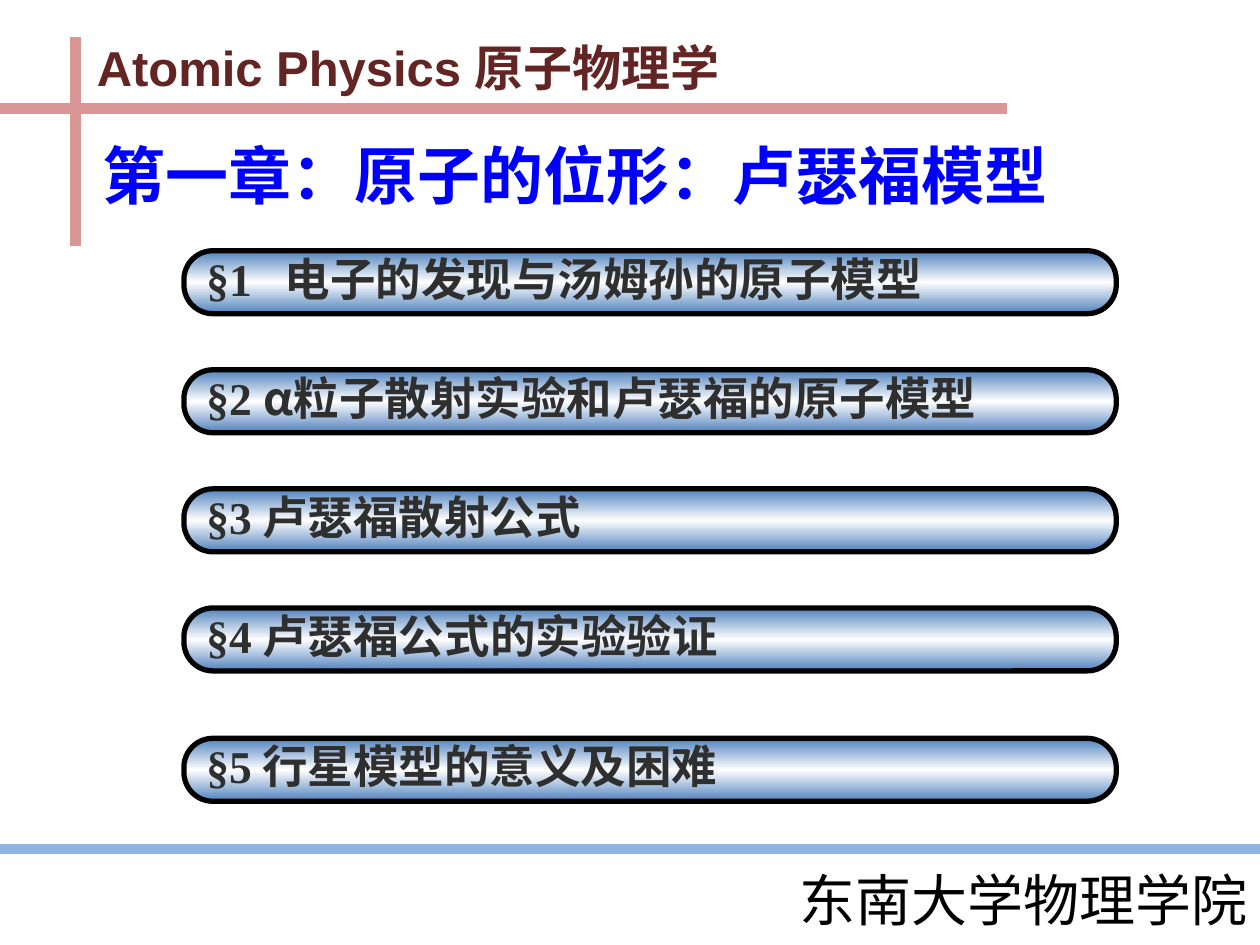
from copy import deepcopy

from lxml.etree import SubElement
from pptx import Presentation
from pptx.dml.color import RGBColor
from pptx.enum.shapes import MSO_CONNECTOR as Connector, MSO_SHAPE as Shape
from pptx.enum.text import MSO_ANCHOR as Anchor, MSO_AUTO_SIZE as AutoSize, PP_ALIGN as Align
from pptx.oxml.ns import qn
from pptx.util import Inches, Pt

# Grid: 100 columns by 75 rows over the whole slide
COLUMNS, ROWS = 100, 75
WIDTH, HEIGHT = Inches(10), Inches(7.5)
COLOURS = {
    "rose": "D99694", "maroon": "632523", "sky": "8EB4E3", "title": "0000FF",
    "bar": "4F81BD", "shine": "FFFFFF", "ink": "2F2F2F", "black": "000000",
}
CJK, SANS, SERIF = "Noto Sans CJK SC", "Arial", "Times New Roman"

# Section number, title with its lead-in, text width in columns
SECTIONS = [
    ("§1", "\t电子的发现与汤姆孙的原子模型", 73.2),
    ("§2 ", "α粒子散射实验和卢瑟福的原子模型", 78.7),
    ("§3", " 卢瑟福散射公式", 49.6),
    ("§4", " 卢瑟福公式的实验验证", 63.8),
    ("§5", " 行星模型的意义及困难", 65.4),
]


def colour(name):
    return RGBColor.from_string(COLOURS[name])


def across(columns):
    return round(WIDTH * columns / COLUMNS)


def down(rows):
    return round(HEIGHT * rows / ROWS)


def place(box):
    left, top, width, height = box
    return across(left), down(top), across(width), down(height)


def add_rule(page, start, end, line_colour):
    rule = page.shapes.add_connector(
        Connector.STRAIGHT, across(start[0]), down(start[1]), across(end[0]), down(end[1]))
    rule.line.color.rgb = colour(line_colour)
    rule.line.width = Pt(6)
    SubElement(rule._element.spPr, qn("a:effectLst"))


def add_text(page, box, spans, size, text_colour, bold=True, align=Align.LEFT, tab=None, grow=True):
    """Place one line of text; spans are (text, font) pairs."""
    frame = page.shapes.add_textbox(*place(box)).text_frame
    frame.word_wrap = True
    frame.auto_size = AutoSize.SHAPE_TO_FIT_TEXT if grow else AutoSize.NONE
    frame.vertical_anchor = Anchor.TOP if grow else Anchor.MIDDLE
    para = frame.paragraphs[0]
    para.alignment = align
    if tab:
        stops = SubElement(para._p.get_or_add_pPr(), qn("a:tabLst"))
        SubElement(stops, qn("a:tab"), pos=str(across(tab)), algn="l")
    para.font.size = Pt(size)
    para.font.bold = bold
    para.font.color.rgb = colour(text_colour)
    for text, font in spans:
        span = para.add_run()
        span.text = text
        span.font.name = font
        SubElement(span._r.get_or_add_rPr(), qn("a:ea"), typeface=font)


def add_bar(page, box):
    bar = page.shapes.add_shape(Shape.ROUNDED_RECTANGLE, *place(box))
    bar.adjustments[0] = 0.46
    bar.shadow.inherit = False
    bar.line.color.rgb = colour("black")
    bar.line.width = Pt(3)
    # Dark edges with a bright middle, running downwards
    bar.fill.gradient()
    bar.fill.gradient_angle = 270
    first = bar.fill._fill._gradFill.gsLst[0]
    first.addnext(deepcopy(first))
    for stop, (position, name) in zip(
            bar.fill.gradient_stops, [(0, "bar"), (0.5, "shine"), (1, "bar")]):
        stop.position = position
        stop.color.rgb = colour(name)


def add_header(page, box):
    left, top, width, height = box
    add_rule(page, (left, top + 5.7), (left + width, top + 5.7), "rose")
    add_rule(page, (left + 6, top), (left + 6, top + height), "rose")
    add_text(page, (left + 6.7, top - 0.4, 54.3, 5.7),
             [("Atomic Physics ", SANS), ("原子物理学", CJK)], 28, "maroon")


def add_footer(page, box):
    left, top, width, height = box
    add_rule(page, (left, top), (left + width, top), "sky")
    add_text(page, (left + 48.1, top + 0.8, width - 48.1, height - 1.2),
             [("东南大学物理学院", CJK)], 32, "black", bold=False, align=Align.RIGHT)


def add_contents(page, box):
    left, top, width, height = box
    bar_height, pitch = 5, 9.45
    last = len(SECTIONS) - 1
    for index, (number, title, text_width) in enumerate(SECTIONS):
        # The last bar sits on the bottom edge of the region
        bar_top = top + height - bar_height if index == last else top + index * pitch
        add_bar(page, (left, bar_top, width, bar_height))
        add_text(page, (left + 0.8, bar_top - 0.5, text_width, 5.4),
                 [(number, SERIF), (title, CJK)], 26, "ink", tab=6.2)


def main():
    deck = Presentation()
    deck.slide_width, deck.slide_height = WIDTH, HEIGHT
    page = deck.slides.add_slide(deck.slide_layouts[6])
    add_header(page, (0, 2.9, 79.9, 16.6))
    add_footer(page, (0, 67.4, COLUMNS, 7.6))
    # Chapter title
    add_text(page, (5.1, 9.2, 81.1, 9.3), [("第一章：原子的位形：卢瑟福模型", CJK)],
             36, "title", align=Align.CENTER, grow=False)
    add_contents(page, (14.6, 19.9, 74, 43.7))
    deck.save("out.pptx")


if __name__ == "__main__":
    main()
